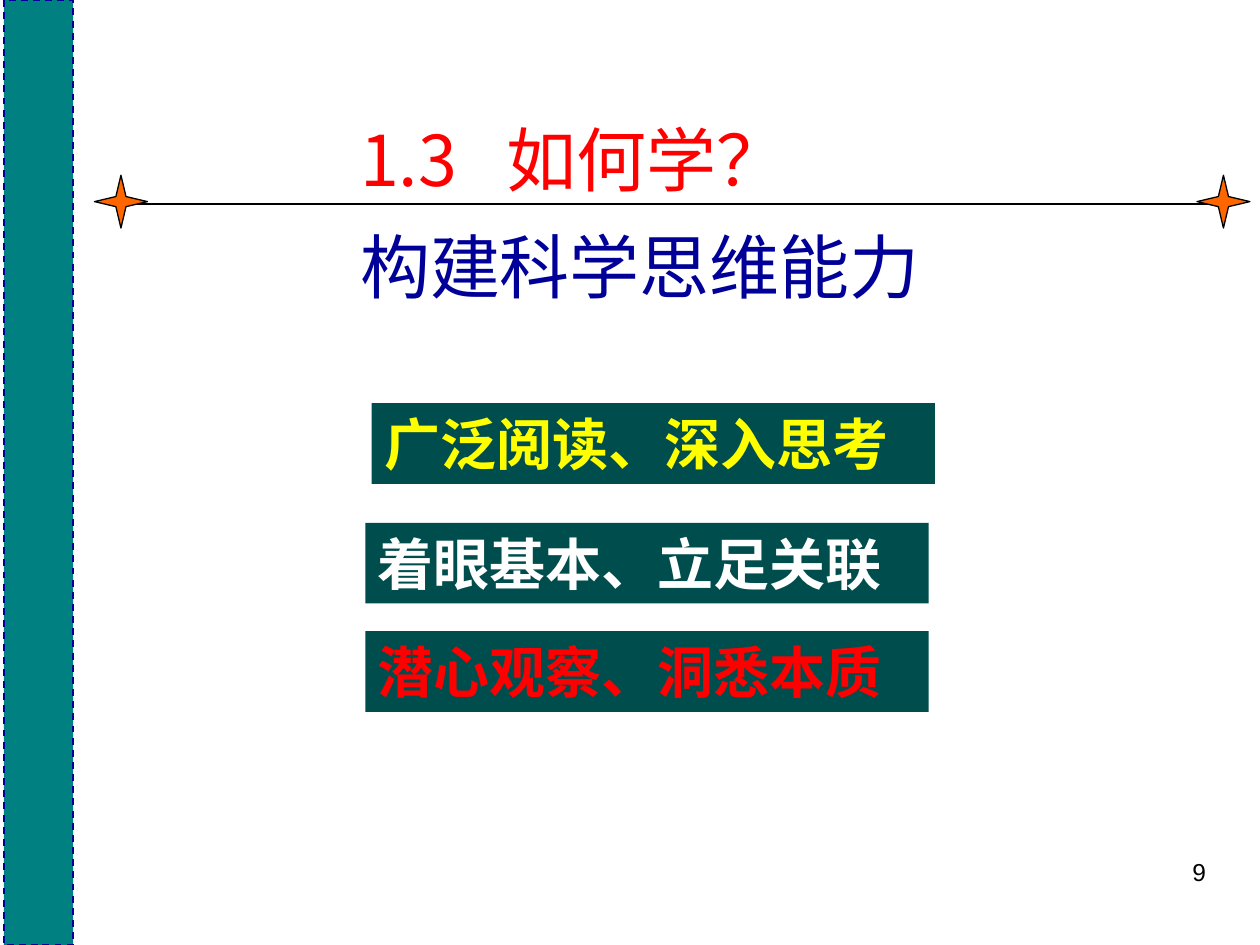
from lxml import etree
from pptx import Presentation
from pptx.dml.color import RGBColor
from pptx.enum.dml import MSO_LINE
from pptx.enum.shapes import MSO_CONNECTOR, MSO_SHAPE
from pptx.enum.text import MSO_ANCHOR, PP_ALIGN
from pptx.oxml.ns import qn
from pptx.util import Inches, Pt

RECTANGLE = MSO_SHAPE.RECTANGLE
STRAIGHT = MSO_CONNECTOR.STRAIGHT
DASH = MSO_LINE.DASH
TOP, MIDDLE = MSO_ANCHOR.TOP, MSO_ANCHOR.MIDDLE
LEFT, RIGHT = PP_ALIGN.LEFT, PP_ALIGN.RIGHT

# Content
HEADINGS = [("1.3\t如何学？", "red", 0.85), ("构建科学思维能力", "navy", 1.7)]
BARS = [  # text, colour, left, top
    ("广泛阅读、深入思考", "yellow", 2.95, 3.2),
    ("着眼基本、立足关联", "white", 2.9, 4.15),
    ("潜心观察、洞悉本质", "red", 2.9, 5.01),
]
PAGE_NUMBER = "9"

# Style and measures in inches
COLORS = {"teal": "008080", "navy": "000099", "black": "000000",
          "orange": "FF6600", "bar": "004D4D", "yellow": "FFFF00",
          "white": "FFFFFF", "red": "FF0000"}
CJK_FONT = "Noto Sans CJK SC"
WIDTH, HEIGHT = 10, 7.5
HEADING_LEFT, HEADING_WIDTH, HEADING_HEIGHT = 2.76, 5.2, 0.81
HEADING_TAB = 1.16
BAR_WIDTH, BAR_HEIGHT = 4.47, 0.64
RULE_Y, RULE_ENDS = 1.62, (0.9, 9.75)
STAR_Y, STAR_CENTERS = 1.6, (0.96, 9.71)
STAR_OUTER, STAR_INNER = 0.21, 0.04


def color(name):
    return RGBColor.from_string(COLORS[name])


def paint(shape, fill, line=None, width=0.75):
    shape.shadow.inherit = False
    shape.fill.solid()
    shape.fill.fore_color.rgb = color(fill)
    if line is None:
        shape.line.fill.background()
    else:
        shape.line.color.rgb = color(line)
        shape.line.width = Pt(width)


def write(box, text, *, size, ink, font=CJK_FONT, bold=False,
          align=LEFT, anchor=TOP, tab=None):
    frame = box.text_frame
    frame.word_wrap = True
    frame.vertical_anchor = anchor
    para = frame.paragraphs[0]
    para.alignment = align
    if tab is not None:
        stops = etree.SubElement(para._p.get_or_add_pPr(), qn("a:tabLst"))
        etree.SubElement(stops, qn("a:tab"), pos=str(Inches(tab)), algn="l")
    span = para.add_run()
    span.text = text
    span.font.name = font
    span.font.size = Pt(size)
    span.font.bold = bold
    span.font.color.rgb = color(ink)
    etree.SubElement(span._r.get_or_add_rPr(), qn("a:ea"), typeface=font)


def add_star(page, center_x, center_y):
    far, near = STAR_OUTER, STAR_INNER
    offsets = [(-far, 0), (-near, -near), (0, -far), (near, -near),
               (far, 0), (near, near), (0, far), (-near, near)]
    points = [(Inches(center_x + dx), Inches(center_y + dy)) for dx, dy in offsets]
    builder = page.shapes.build_freeform(*points[0])
    builder.add_line_segments(points[1:], close=True)
    paint(builder.convert_to_shape(), "orange", "black")


def main():
    deck = Presentation()
    deck.slide_width, deck.slide_height = Inches(WIDTH), Inches(HEIGHT)
    page = deck.slides.add_slide(deck.slide_layouts[6])
    shapes = page.shapes

    # Page number
    box = shapes.add_textbox(Inches(7.17), Inches(6.75), Inches(2.5), Inches(0.52))
    write(box, PAGE_NUMBER, size=14, ink="black", font="Arial", align=RIGHT)

    # Side band
    band = shapes.add_shape(RECTANGLE, Inches(0.03), 0, Inches(0.55), Inches(HEIGHT))
    paint(band, "teal", "navy", 1)
    band.line.dash_style = DASH

    # Rule between two stars
    start, end = RULE_ENDS
    rule = shapes.add_connector(STRAIGHT, Inches(start), Inches(RULE_Y),
                                Inches(end), Inches(RULE_Y))
    rule.line.color.rgb = color("black")
    rule.line.width = Pt(0.75)
    etree.SubElement(rule._element.spPr, qn("a:effectLst"))
    for center in STAR_CENTERS:
        add_star(page, center, STAR_Y)

    # Headings
    for text, ink, top in HEADINGS:
        box = shapes.add_textbox(Inches(HEADING_LEFT), Inches(top),
                                 Inches(HEADING_WIDTH), Inches(HEADING_HEIGHT))
        write(box, text, size=40, ink=ink, anchor=MIDDLE,
              tab=HEADING_TAB if "\t" in text else None)

    # Bars
    for text, ink, left, top in BARS:
        bar = shapes.add_shape(RECTANGLE, Inches(left), Inches(top),
                               Inches(BAR_WIDTH), Inches(BAR_HEIGHT))
        paint(bar, "bar")
        write(bar, text, size=32, ink=ink, bold=True)

    deck.save("out.pptx")


if __name__ == "__main__":
    main()
